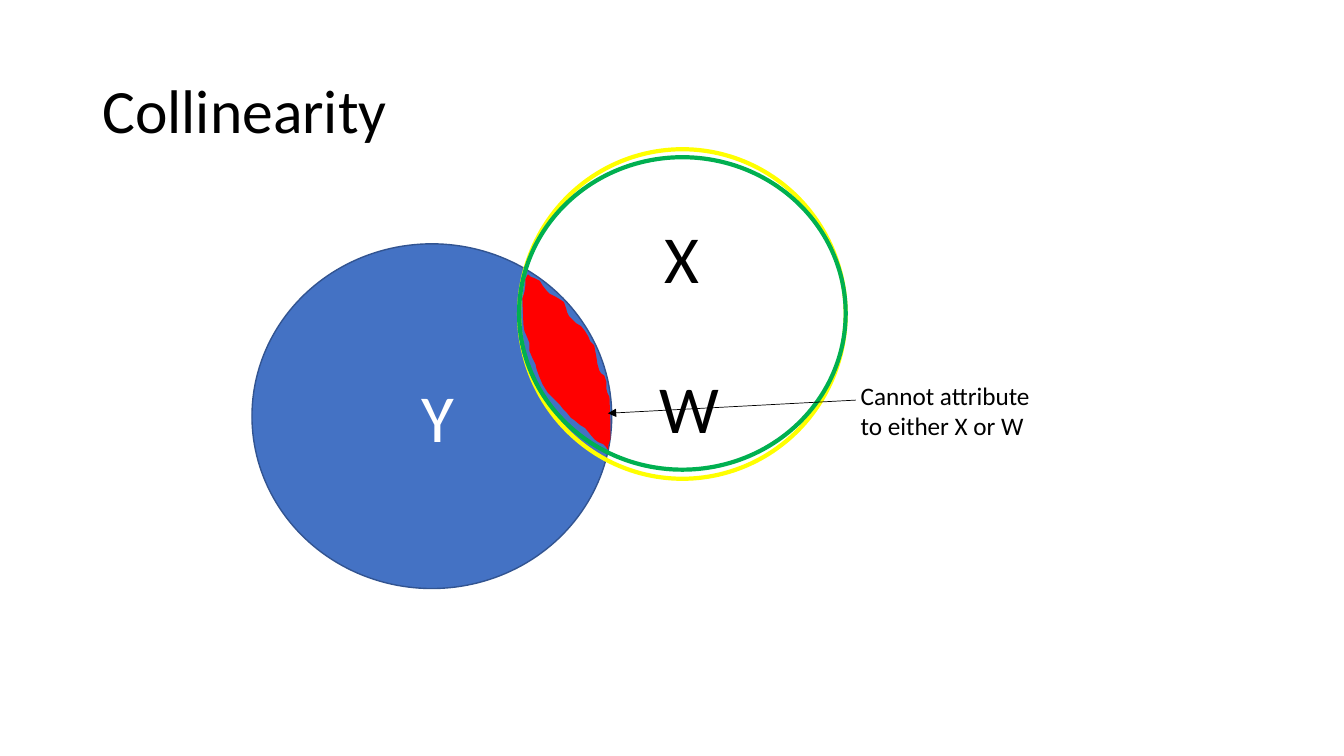
from dataclasses import dataclass

from lxml import etree
from pptx import Presentation
from pptx import util as u
from pptx.dml.color import RGBColor
from pptx.enum import shapes, text
from pptx.oxml import ns


@dataclass(frozen=True)
class Theme:
    font: str = "Calibri"
    ink: str = "000000"
    white: str = "FFFFFF"
    blue: str = "4472C4"
    blue_edge: str = "325491"
    yellow: str = "FFFF00"
    green: str = "00B050"
    red: str = "FF0000"
    title_size: float = 44
    letter_size: float = 48
    note_size: float = 18


# Outline of the shared area, in steps of 0.72 pt from its top left corner
OVERLAP_STEP = 0.72
OVERLAP = [
    (84, 172), (84, 168), (86, 162), (86, 149), (85, 121), (83, 117),
    (82, 113), (82, 106), (80, 100), (77, 98), (75, 95), (73, 88),
    (72, 81), (71, 76), (70, 70), (66, 66), (64, 61), (61, 56),
    (57, 51), (52, 48), (48, 44), (45, 41), (43, 37), (42, 33),
    (40, 27), (37, 25), (32, 22), (26, 19), (23, 16), (19, 11),
    (16, 6), (12, 4), (7, 2), (5, 0), (3, 4), (3, 10), (2, 17),
    (0, 23), (1, 49), (2, 55), (5, 62), (7, 67), (7, 75), (10, 82),
    (13, 88), (14, 93), (17, 101), (20, 108), (25, 116), (30, 121),
    (34, 125), (37, 128), (40, 132), (44, 136), (48, 141), (51, 143),
    (57, 148), (62, 151), (66, 156), (71, 162), (75, 165), (80, 167),
    (83, 170),
]


def points(*lengths):
    return [u.Pt(length) for length in lengths]


class SlideBuilder:
    def __init__(self, page, theme):
        self.page = page
        self.theme = theme

    def set_text(self, box, words, size, color):
        box.text_frame.word_wrap = True
        para = box.text_frame.paragraphs[0]
        para.text = words
        para.alignment = text.PP_ALIGN.LEFT
        para.font.name = self.theme.font
        para.font.size = u.Pt(size)
        para.font.color.rgb = RGBColor.from_string(color)
        return para

    def title(self, words, left, top, width, height):
        box = self.page.shapes.title
        box.left, box.top, box.width, box.height = points(left, top, width, height)
        box.text_frame.vertical_anchor = text.MSO_ANCHOR.MIDDLE
        para = self.set_text(box, words, self.theme.title_size, self.theme.ink)
        para.line_spacing = 0.9

    def label(self, words, left, top, width, height, size, color):
        box = self.page.shapes.add_textbox(*points(left, top, width, height))
        self.set_text(box, words, size, color)

    def paint(self, shape, fill, edge, weight):
        shape.shadow.inherit = False
        if fill:
            shape.fill.solid()
            shape.fill.fore_color.rgb = RGBColor.from_string(fill)
        else:
            shape.fill.background()
        shape.line.color.rgb = RGBColor.from_string(edge)
        shape.line.width = u.Pt(weight)

    def ellipse(self, left, top, width, height, edge, weight, fill=None):
        shape = self.page.shapes.add_shape(
            shapes.MSO_SHAPE.OVAL, *points(left, top, width, height))
        self.paint(shape, fill, edge, weight)

    def patch(self, outline, left, top, step, color):
        """Draw a closed, filled outline."""
        start, *rest = outline
        builder = self.page.shapes.build_freeform(*start, scale=u.Pt(step))
        builder.add_line_segments(rest, close=True)
        shape = builder.convert_to_shape(*points(left, top))
        self.paint(shape, color, color, 1)

    def arrow(self, start, end, color, weight):
        line = self.page.shapes.add_connector(
            shapes.MSO_CONNECTOR.STRAIGHT, *points(*start, *end))
        line.line.color.rgb = RGBColor.from_string(color)
        line.line.width = u.Pt(weight)
        properties = line.element.spPr
        stroke = properties.find(ns.qn("a:ln"))
        etree.SubElement(stroke, ns.qn("a:tailEnd"), type="triangle")
        etree.SubElement(properties, ns.qn("a:effectLst"))


def main():
    deck = Presentation()
    deck.slide_width, deck.slide_height = points(960, 540)
    theme = Theme()
    title_only = deck.slide_layouts[5]
    slide = SlideBuilder(deck.slides.add_slide(title_only), theme)

    slide.title("Collinearity", 66, 28.75, 828, 104.4)
    slide.ellipse(180, 174.2, 257, 246.2, theme.blue_edge, 1, fill=theme.blue)
    slide.ellipse(370.8, 106.6, 233.3, 235.4, theme.yellow, 3)
    slide.ellipse(370.8, 112.3, 233.3, 223.2, theme.green, 3)

    for letter, left, top, color in (
        ("Y", 293.8, 264.2, theme.white),
        ("X", 467.3, 151.2, theme.ink),
        ("W", 463.7, 257.8, theme.ink),
    ):
        slide.label(letter, left, top, 77, 65.5, theme.letter_size, color)

    slide.patch(OVERLAP, 373.7, 196.6, OVERLAP_STEP, theme.red)
    slide.label("Cannot attribute to either X or W",
                607.7, 267.8, 140.4, 51, theme.note_size, theme.ink)
    slide.arrow((611.3, 285.8), (434.2, 295.2), theme.ink, 0.5)
    deck.save("out.pptx")


if __name__ == "__main__":
    main()
